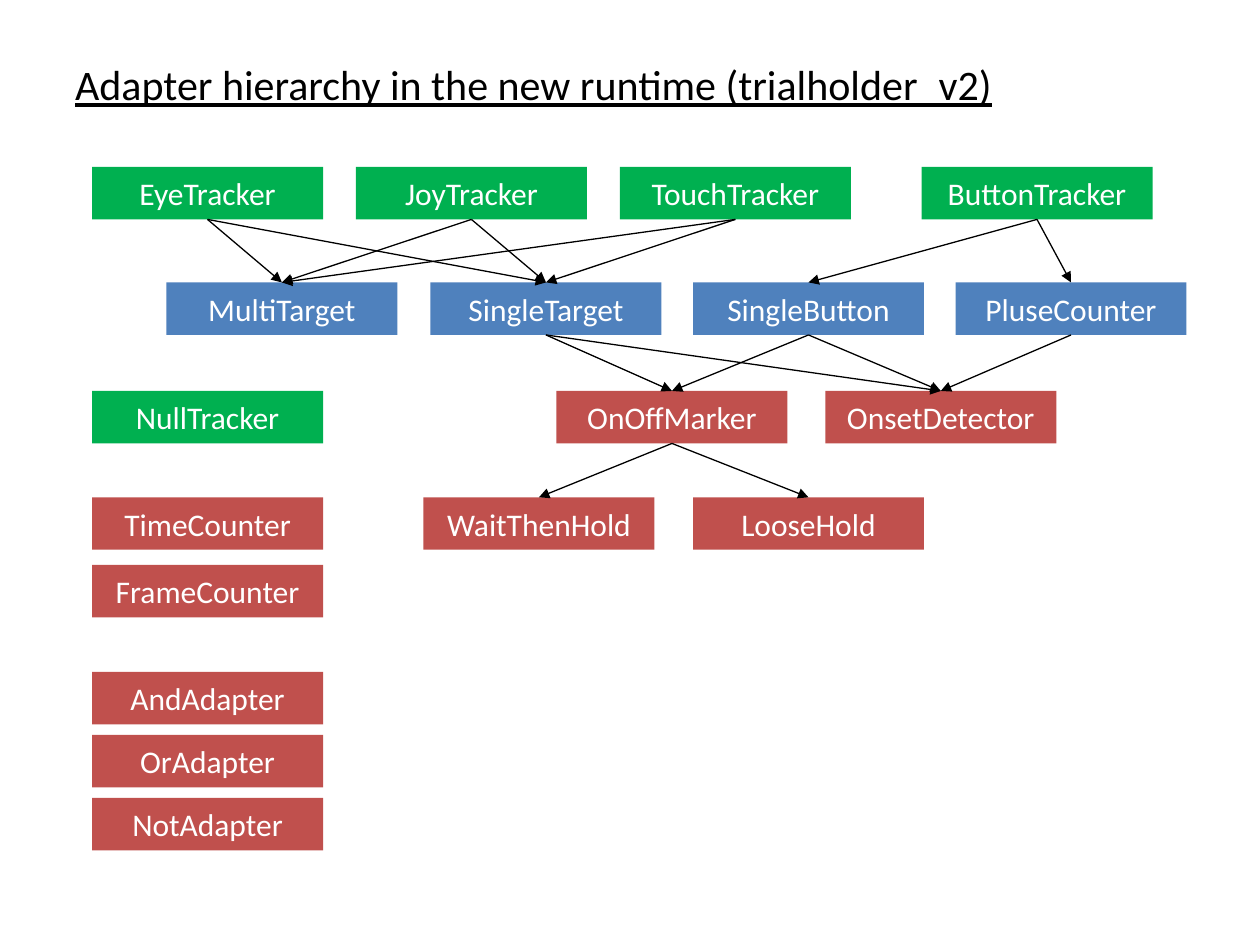
"""Build the adapter hierarchy slide."""
from dataclasses import dataclass

from lxml.etree import SubElement
from pptx import Presentation
from pptx.dml.color import RGBColor
from pptx.enum.shapes import MSO_CONNECTOR, MSO_SHAPE, PP_PLACEHOLDER
from pptx.enum.text import MSO_ANCHOR, MSO_AUTO_SIZE, PP_ALIGN
from pptx.oxml.ns import qn
from pptx.util import Pt


@dataclass(frozen=True)
class Theme:
    font: str = "Calibri"
    title_size: float = 24
    box_size: float = 18
    line_width: float = 0.75
    ink: RGBColor = RGBColor(0x00, 0x00, 0x00)
    box_text: RGBColor = RGBColor(0xFF, 0xFF, 0xFF)
    tracker: RGBColor = RGBColor(0x00, 0xB0, 0x50)
    target: RGBColor = RGBColor(0x4F, 0x81, 0xBD)
    adapter: RGBColor = RGBColor(0xC0, 0x50, 0x4D)


class Diagram:
    BOX_WIDTH, BOX_HEIGHT = 132, 30
    TOP_SITE, BOTTOM_SITE = 0, 2

    def __init__(self, slide, theme):
        self.slide = slide
        self.theme = theme
        self.boxes = {}

    def add_run(self, paragraph, text, size, color, underline=None):
        run = paragraph.add_run()
        run.text = text
        run.font.name = self.theme.font
        run.font.size = Pt(size)
        run.font.color.rgb = color
        run.font.underline = underline

    def title(self, text, left, top, width, height):
        title = self.slide.shapes.title
        title.left, title.top = Pt(left), Pt(top)
        title.width, title.height = Pt(width), Pt(height)
        frame = title.text_frame
        frame.word_wrap = False
        frame.auto_size = MSO_AUTO_SIZE.NONE
        frame.vertical_anchor = MSO_ANCHOR.TOP
        paragraph = frame.paragraphs[0]
        paragraph.alignment = PP_ALIGN.LEFT
        self.add_run(paragraph, text, self.theme.title_size, self.theme.ink, True)

    def box(self, name, left, top, color):
        shape = self.slide.shapes.add_shape(
            MSO_SHAPE.RECTANGLE, Pt(left), Pt(top), Pt(self.BOX_WIDTH), Pt(self.BOX_HEIGHT))
        shape.shadow.inherit = False
        shape.fill.solid()
        shape.fill.fore_color.rgb = color
        shape.line.fill.background()
        frame = shape.text_frame
        frame.word_wrap = True
        frame.vertical_anchor = MSO_ANCHOR.MIDDLE
        paragraph = frame.paragraphs[0]
        paragraph.alignment = PP_ALIGN.CENTER
        self.add_run(paragraph, name, self.theme.box_size, self.theme.box_text)
        self.boxes[name] = shape

    def arrow(self, parent, child):
        connector = self.slide.shapes.add_connector(MSO_CONNECTOR.STRAIGHT, 0, 0, 0, 0)
        connector.begin_connect(self.boxes[parent], self.BOTTOM_SITE)
        connector.end_connect(self.boxes[child], self.TOP_SITE)
        connector.line.color.rgb = self.theme.ink
        connector.line.width = Pt(self.theme.line_width)
        properties = connector.element.spPr
        SubElement(properties.find(qn("a:ln")), qn("a:tailEnd"), type="triangle")
        SubElement(properties, qn("a:effectLst"))


def remove_footers(holder):
    footers = {PP_PLACEHOLDER.DATE, PP_PLACEHOLDER.FOOTER, PP_PLACEHOLDER.SLIDE_NUMBER}
    for placeholder in list(holder.placeholders):
        if placeholder.placeholder_format.type in footers:
            placeholder.element.getparent().remove(placeholder.element)


THEME = Theme()
LEFT_COLUMN = 52.6
ROWS = [
    (95.4, THEME.tracker, {"EyeTracker": LEFT_COLUMN, "JoyTracker": 203.4,
                           "TouchTracker": 354.2, "ButtonTracker": 526.6}),
    (161.4, THEME.target, {"MultiTarget": 95.1, "SingleTarget": 246,
                           "SingleButton": 396, "PluseCounter": 546}),
    (223.4, THEME.tracker, {"NullTracker": LEFT_COLUMN}),
    (223.4, THEME.adapter, {"OnOffMarker": 318, "OnsetDetector": 471.6}),
    (284.2, THEME.adapter, {"TimeCounter": LEFT_COLUMN, "WaitThenHold": 242,
                            "LooseHold": 396}),
    (322.8, THEME.adapter, {"FrameCounter": LEFT_COLUMN}),
] + [
    (384 + 36 * index, THEME.adapter, {name: LEFT_COLUMN})
    for index, name in enumerate(["AndAdapter", "OrAdapter", "NotAdapter"])
]
CHILDREN = {
    "EyeTracker": ["MultiTarget", "SingleTarget"],
    "JoyTracker": ["MultiTarget", "SingleTarget"],
    "TouchTracker": ["MultiTarget", "SingleTarget"],
    "ButtonTracker": ["SingleButton", "PluseCounter"],
    "SingleTarget": ["OnOffMarker", "OnsetDetector"],
    "SingleButton": ["OnOffMarker", "OnsetDetector"],
    "PluseCounter": ["OnsetDetector"],
    "OnOffMarker": ["WaitThenHold", "LooseHold"],
}

presentation = Presentation()
presentation.slide_width, presentation.slide_height = Pt(720), Pt(540)
layout = presentation.slide_layouts.get_by_name("Title Only")
remove_footers(layout)
remove_footers(presentation.slide_master)
slide = presentation.slides.add_slide(layout)
diagram = Diagram(slide, THEME)
diagram.title("Adapter hierarchy in the new runtime (trialholder_v2)", 35.7, 30, 543.6, 36)
for top, color, row in ROWS:
    for name, left in row.items():
        diagram.box(name, left, top, color)
for parent, children in CHILDREN.items():
    for child in children:
        diagram.arrow(parent, child)
presentation.save("out.pptx")
